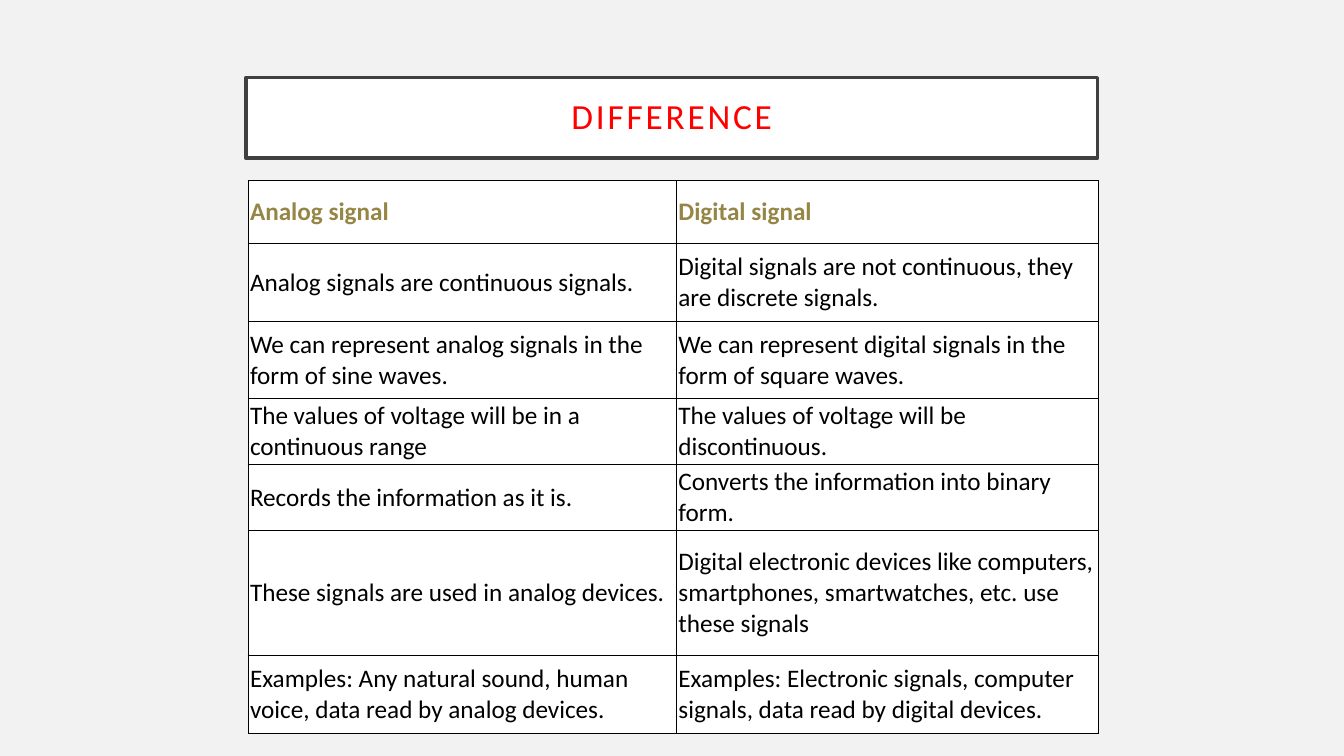
from lxml import etree
from pptx import Presentation
from pptx.dml.color import RGBColor
from pptx.enum.shapes import MSO_SHAPE
from pptx.enum.text import MSO_ANCHOR, PP_ALIGN
from pptx.oxml.ns import qn
from pptx.util import Pt

RECTANGLE = MSO_SHAPE.RECTANGLE
MIDDLE = MSO_ANCHOR.MIDDLE
LEFT, CENTER = PP_ALIGN.LEFT, PP_ALIGN.CENTER

FONT = "Calibri"
BLANK_LAYOUT = 6
COLORS = {
    "background": "F2F2F2",
    "panel": "FFFFFF",
    "frame": "404040",
    "title": "FF0000",
    "header": "958646",
    "text": "000000",
    "border": "000000",
}

# Regions: left, top, width, height in points
TITLE_BOX = (175.7, 55.4, 608.4, 57.6)
TABLE_BOX = (177.1, 128.9, 607.7, 394.7)

COLUMN_SHARES = (4.25, 4.19)
ROW_HEIGHTS = (45.2, 55.4, 55.4, 47, 47, 89.3, 55.4)
COMPARISON = [
    ("Analog signal", "Digital signal"),
    ("Analog signals are continuous signals.",
     "Digital signals are not continuous, they are discrete signals."),
    ("We can represent analog signals in the form of sine waves.",
     "We can represent digital signals in the form of square waves."),
    ("The values of voltage will be in a continuous range",
     "The values of voltage will be discontinuous."),
    ("Records the information as it is.",
     "Converts the information into binary form."),
    ("These signals are used in analog devices.",
     "Digital electronic devices like computers, smartphones, smartwatches, etc. use these signals"),
    ("Examples: Any natural sound, human voice, data read by analog devices.",
     "Examples: Electronic signals, computer signals, data read by digital devices."),
]


def color(name):
    return RGBColor.from_string(COLORS[name])


def fill_solid(fill, name):
    fill.solid()
    fill.fore_color.rgb = color(name)


def set_margins(target, margin):
    target.margin_left = target.margin_right = Pt(margin)
    target.margin_top = target.margin_bottom = Pt(margin)


def write_paragraph(paragraph, text, size, color_name, alignment, bold=False):
    paragraph.text = text
    paragraph.alignment = alignment
    paragraph.font.name = FONT
    paragraph.font.size = Pt(size)
    paragraph.font.bold = bold
    paragraph.font.color.rgb = color(color_name)


def add_cell_borders(cell, width):
    properties = cell._tc.get_or_add_tcPr()
    for index, side in enumerate(("a:lnL", "a:lnR", "a:lnT", "a:lnB")):
        line = etree.Element(qn(side), w=str(Pt(width)))
        fill = etree.SubElement(line, qn("a:solidFill"))
        etree.SubElement(fill, qn("a:srgbClr"), val=COLORS["border"])
        properties.insert(index, line)


def add_title(slide, box, text):
    shape = slide.shapes.add_shape(RECTANGLE, *map(Pt, box))
    shape.shadow.inherit = False
    fill_solid(shape.fill, "panel")
    shape.line.color.rgb = color("frame")
    shape.line.width = Pt(2.5)

    frame = shape.text_frame
    frame.word_wrap = True
    frame.vertical_anchor = MIDDLE
    set_margins(frame, 14.4)
    paragraph = frame.paragraphs[0]
    write_paragraph(paragraph, text, 25.2, "title", CENTER)
    paragraph.line_spacing = 0.9
    # Letter spacing, in hundredths of a point
    paragraph.runs[0]._r.get_or_add_rPr().set("spc", "200")


def add_comparison_table(slide, box, rows):
    table = slide.shapes.add_table(
        len(rows), len(COLUMN_SHARES), *map(Pt, box)).table
    for column, share in zip(table.columns, COLUMN_SHARES):
        column.width = Pt(box[2] * share / sum(COLUMN_SHARES))
    for row, share in zip(table.rows, ROW_HEIGHTS):
        row.height = Pt(box[3] * share / sum(ROW_HEIGHTS))

    for row_index, texts in enumerate(rows):
        is_header = row_index == 0
        for column_index, text in enumerate(texts):
            cell = table.cell(row_index, column_index)
            cell.vertical_anchor = MIDDLE
            set_margins(cell, 1.5)
            fill_solid(cell.fill, "panel")
            add_cell_borders(cell, 0.6)
            write_paragraph(cell.text_frame.paragraphs[0], text, 18,
                            "header" if is_header else "text", LEFT, is_header)


def main():
    presentation = Presentation()
    presentation.slide_width = Pt(960)
    presentation.slide_height = Pt(540)
    slide = presentation.slides.add_slide(
        presentation.slide_layouts[BLANK_LAYOUT])
    fill_solid(slide.background.fill, "background")

    add_title(slide, TITLE_BOX, "DIFFERENCE")
    add_comparison_table(slide, TABLE_BOX, COMPARISON)

    presentation.save("out.pptx")


if __name__ == "__main__":
    main()
